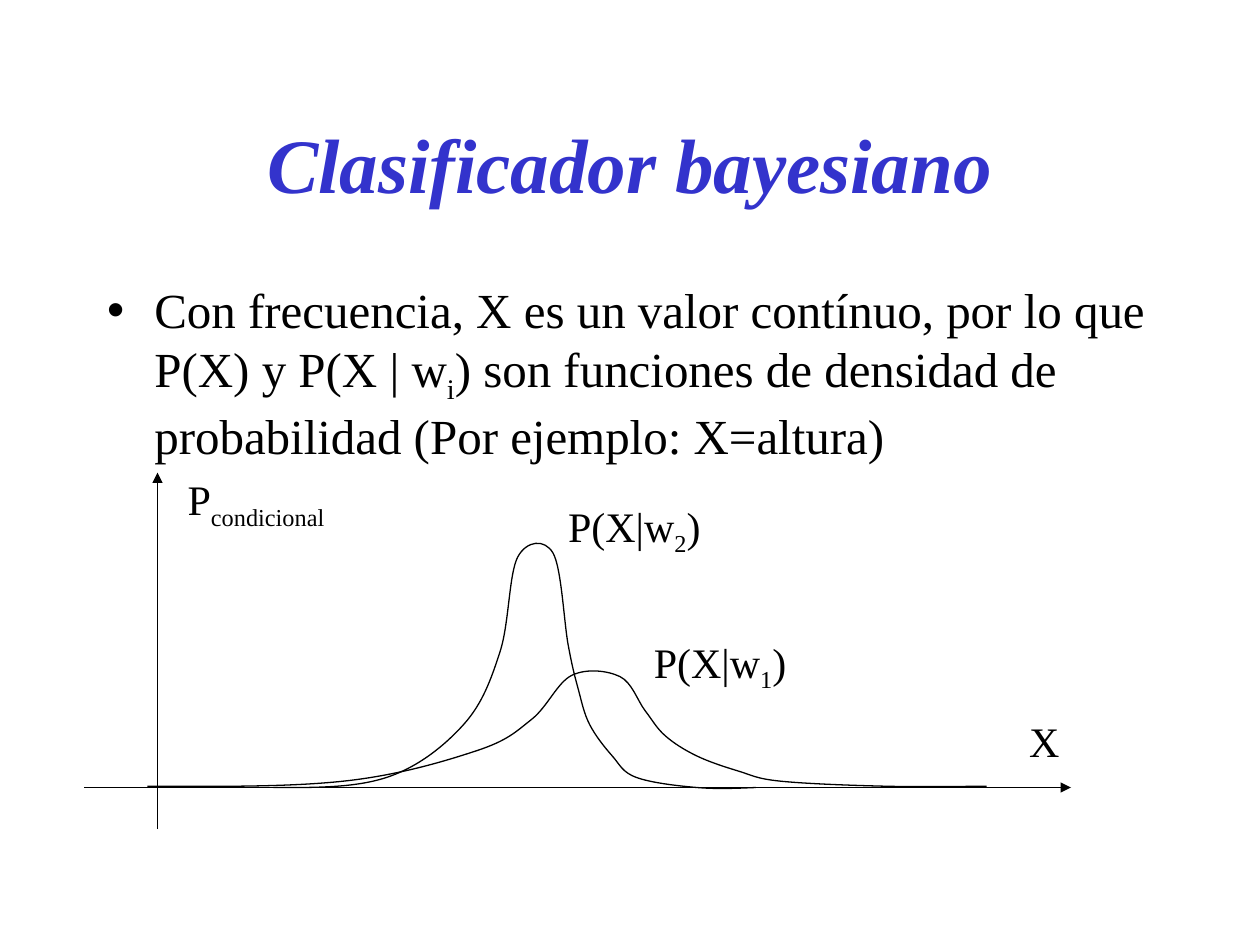
from lxml import etree
from pptx import Presentation
from pptx.dml.color import RGBColor
from pptx.enum import shapes, text
from pptx.oxml import ns
from pptx.util import Inches, Pt

BLACK, BLUE = "000000", "3333CC"


def write(para, runs, **style):
    """Add runs to a paragraph, every second one as a subscript."""
    style = {"name": "Times New Roman", **style}
    color = style.pop("color", BLACK)
    for i, words in enumerate(runs):
        run = para.add_run()
        run.text = words
        for key, value in style.items():
            setattr(run.font, key, value)
        run.font.color.rgb = RGBColor.from_string(color)
        if i % 2:
            run.font._element.set("baseline", "-25000")


def smooth(knots):
    """Give two handles and an end for each piece of a spline through the knots."""
    last = len(knots) - 1
    slopes = [[(b - a) / 6 for a, b in zip(knots[i - 1], knots[i + 1])]
              for i in range(1, last)]
    points = []
    for i in range(last):
        start, end = knots[i], knots[i + 1]
        if i > 0:
            out = [p + s for p, s in zip(start, slopes[i - 1])]
        if i < last - 1:
            into = [p - s for p, s in zip(end, slopes[i])]
        else:
            into = [(a + b) / 2 for a, b in zip(out, end)]
        if i == 0:
            out = [(a + b) / 2 for a, b in zip(start, into)]
        points += [out, into, end]
    return [(Inches(x), Inches(y)) for x, y in points]


deck = Presentation()
deck.slide_width, deck.slide_height = Inches(10), Inches(7.5)
slide = deck.slides.add_slide(deck.slide_layouts[1])

# Title and list
title, body = slide.placeholders
for holder, top, height in ((title, 0.67, 1.25), (body, 2.17, 4.5)):
    holder.left, holder.top = Inches(0.75), Inches(top)
    holder.width, holder.height = Inches(8.5), Inches(height)
    holder.text_frame.auto_size = text.MSO_AUTO_SIZE.NONE

write(title.text_frame.paragraphs[0], ["Clasificador bayesiano"],
      size=Pt(44), color=BLUE, bold=True, italic=True)
item = body.text_frame.paragraphs[0]
item.space_before = Pt(7)
write(item, ["Con frecuencia, X es un valor contínuo, por lo que P(X) y P(X | w", "i",
             ") son funciones de densidad de probabilidad (Por ejemplo: X=altura)"],
      size=Pt(28))

# Axes
drawn = []
for ends in ((1.25, 6.58, 1.25, 3.75), (0.67, 6.25, 8.5, 6.25)):
    axis = slide.shapes.add_connector(shapes.MSO_CONNECTOR.STRAIGHT, *map(Inches, ends))
    drawn.append(axis)

# Density curves
narrow = [(2.17, 6.25), (3.07, 6.17), (3.68, 5.75), (3.97, 5.17), (4.11, 4.42),
          (4.39, 4.39), (4.51, 5.12), (4.59, 5.47), (4.68, 5.75), (4.86, 6),
          (5.05, 6.17), (5.53, 6.25), (6, 6.25)]
wide = [(1.17, 6.24), (2.73, 6.2), (3.78, 5.96), (4.22, 5.71), (4.54, 5.36),
        (4.92, 5.37), (5.12, 5.64), (5.28, 5.84), (5.53, 6), (5.86, 6.12),
        (6.19, 6.2), (7.01, 6.24), (7.83, 6.24)]
for knots in (narrow, wide):
    pen = slide.shapes.build_freeform(*map(Inches, knots[0]))
    pen.add_line_segments(smooth(knots), close=False)
    curve = pen.convert_to_shape()
    curve.fill.background()
    curve.shadow.inherit = False
    drawn.append(curve)

    # Each three straight segments become one Bezier piece
    trace = curve._element.find(".//" + ns.qn("a:path"))
    lines = trace.findall(ns.qn("a:lnTo"))
    for i in range(0, len(lines), 3):
        piece = etree.SubElement(trace, ns.qn("a:cubicBezTo"))
        for line in lines[i:i + 3]:
            piece.append(line[0])
            trace.remove(line)

for shape in drawn:
    shape.line.color.rgb = RGBColor.from_string(BLACK)
    shape.line.width = Pt(0.75)
for axis in drawn[:2]:
    etree.SubElement(axis.line._get_or_add_ln(), ns.qn("a:tailEnd"), type="triangle")
    etree.SubElement(axis._element.spPr, ns.qn("a:effectLst"))

# Labels
labels = [
    (5.09, 5, 1.25, 0.56, ["P(X|w", "1", ")"]),
    (4.41, 3.92, 1.25, 0.56, ["P(X|w", "2", ")"]),
    (8.07, 5.63, 0.44, 0.5, ["X"]),
    (1.39, 3.71, 1.29, 0.56, ["P", "condicional"]),
]
for *place, runs in labels:
    frame = slide.shapes.add_textbox(*map(Inches, place)).text_frame
    frame.word_wrap = False
    frame.auto_size = text.MSO_AUTO_SIZE.SHAPE_TO_FIT_TEXT
    write(frame.paragraphs[0], runs, size=Pt(24))

deck.save("out.pptx")
